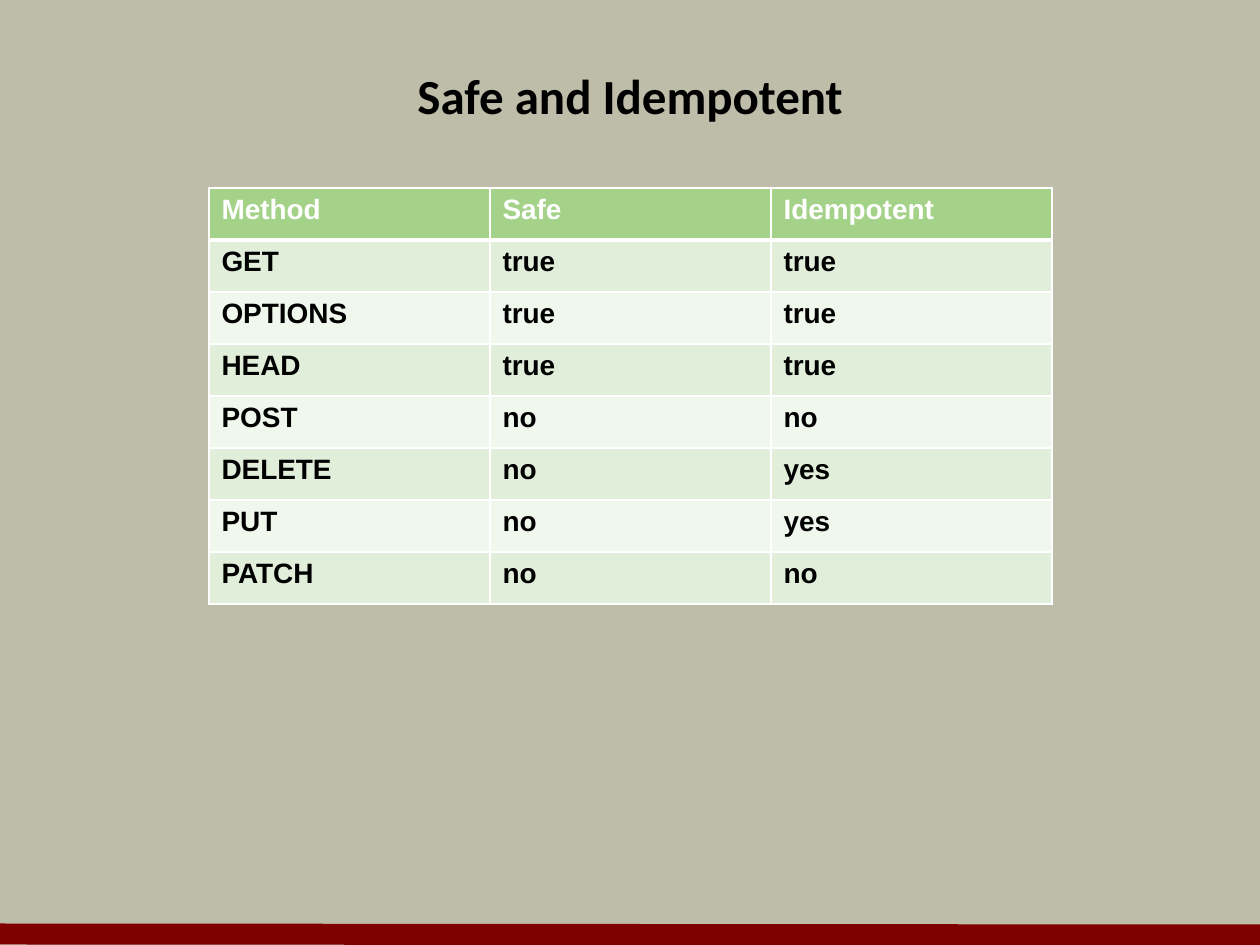
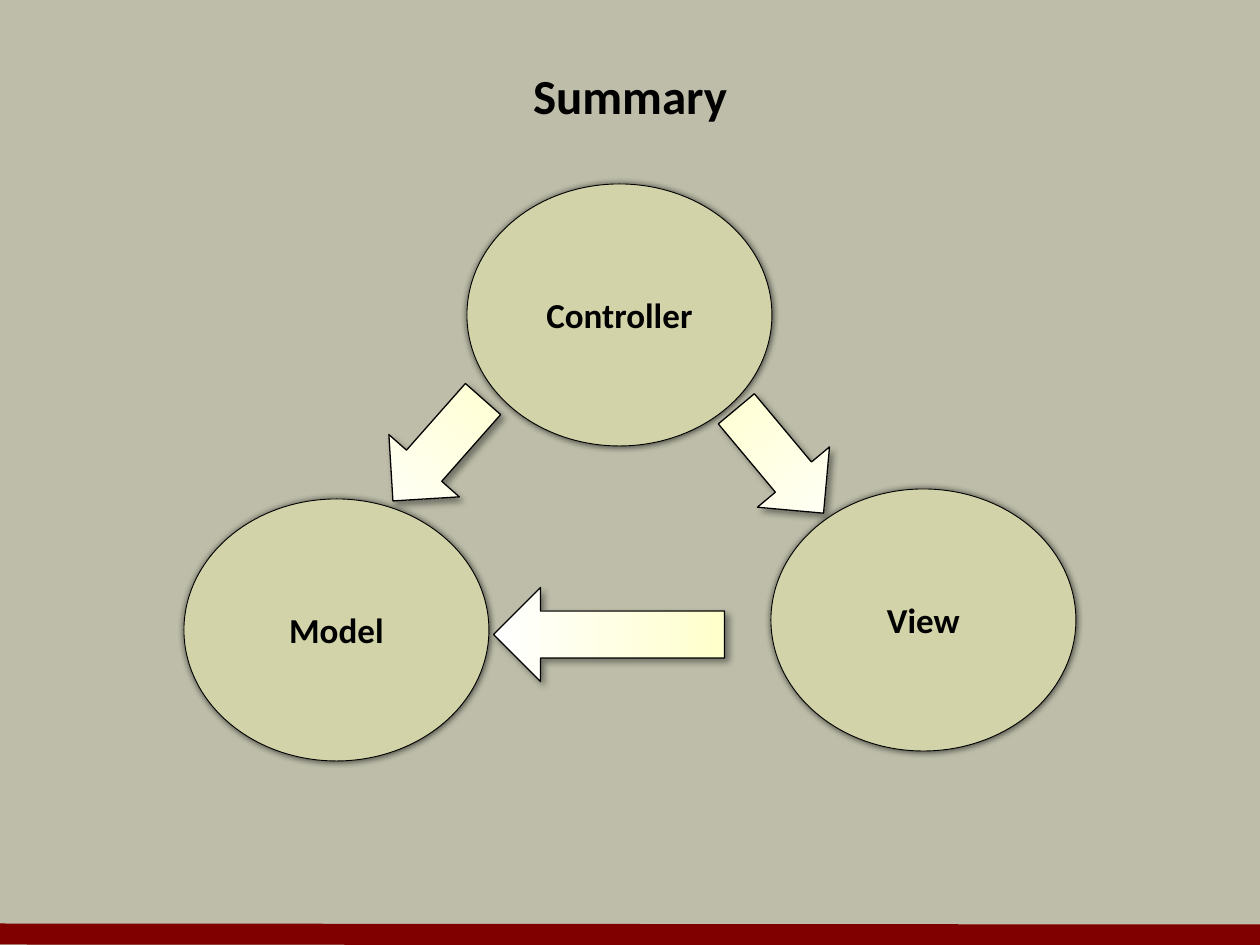
"""Build two slides on HTTP method safety and the model-view-controller cycle."""
from lxml.etree import SubElement
from pptx import Presentation
from pptx.dml.color import RGBColor
from pptx.enum.shapes import MSO_CONNECTOR, MSO_SHAPE
from pptx.enum.text import MSO_ANCHOR, PP_ALIGN
from pptx.oxml import parse_xml
from pptx.oxml.ns import nsdecls, qn
from pptx.util import Emu, Pt

PX = 914400 / 126
BACK = RGBColor(0xBD, 0xBD, 0xA9)
MAROON = RGBColor(0x80, 0x00, 0x00)
BLACK = RGBColor(0x00, 0x00, 0x00)
WHITE = RGBColor(0xFF, 0xFF, 0xFF)
HEADER = RGBColor(0xA4, 0xD2, 0x89)
BANDS = [RGBColor(0xF0, 0xF7, 0xED), RGBColor(0xE0, 0xEE, 0xDA)]
OLIVE = RGBColor(0xD3, 0xD3, 0xA9)
CREAM = RGBColor(0xFF, 0xFF, 0xCC)

TITLE_FONT = {"name": "Calibri", "size": Pt(28), "bold": True}
NODE_FONT = {"name": "Calibri", "size": Pt(20), "bold": True}
CELL_FONT = {"name": "Arial", "size": Pt(16), "bold": True}


def px(*values):
    return [Emu(round(v * PX)) for v in values]


def write(tf, text, font, color, align):
    tf.text = text
    p = tf.paragraphs[0]
    p.alignment = align
    for name, value in font.items():
        setattr(p.runs[0].font, name, value)
    p.runs[0].font.color.rgb = color


prs = Presentation()
prs.slide_width, prs.slide_height = px(1260, 945)
layout = prs.slide_layouts[5]
layout.background.fill.solid()
layout.background.fill.fore_color.rgb = BACK

slides = []
for title in ["Safe and Idempotent", "Summary"]:
    slide = prs.slides.add_slide(layout)
    sp = slide.shapes.title
    sp.left, sp.top, sp.width, sp.height = px(63, 42, 1134, 105)
    write(sp.text_frame, title, TITLE_FONT, BLACK, PP_ALIGN.CENTER)
    sp.text_frame.vertical_anchor = MSO_ANCHOR.MIDDLE
    slides.append(slide)
methods, summary = slides

band = summary.shapes.add_connector(MSO_CONNECTOR.STRAIGHT, *px(0, 934, 1260, 935))
band.line.color.rgb = MAROON
band.line.width = Pt(12)
SubElement(band.element.spPr, qn("a:effectLst"))
layout.shapes.element.append(band.element)

rows = [
    ("Method", "Safe", "Idempotent"),
    ("GET", "true", "true"),
    ("OPTIONS", "true", "true"),
    ("HEAD", "true", "true"),
    ("POST", "no", "no"),
    ("DELETE", "no", "yes"),
    ("PUT", "no", "yes"),
    ("PATCH", "no", "no"),
]
table = methods.shapes.add_table(len(rows), 3, *px(209, 188, 843, 416)).table
for r, row in enumerate(rows):
    widths = {"L": 1, "R": 1, "T": 3 if r == 1 else 1, "B": 3 if r == 0 else 1}
    for c, text in enumerate(row):
        cell = table.cell(r, c)
        write(cell.text_frame, text, CELL_FONT, BLACK if r else WHITE, PP_ALIGN.LEFT)
        cell.fill.solid()
        cell.fill.fore_color.rgb = BANDS[r % 2] if r else HEADER
        tcPr = cell._tc.get_or_add_tcPr()
        for i, (side, width) in enumerate(widths.items()):
            tcPr.insert(i, parse_xml(
                f'<a:ln{side} {nsdecls("a")} w="{Pt(width)}"><a:solidFill>'
                f'<a:srgbClr val="{WHITE}"/></a:solidFill></a:ln{side}>'))

arrows = [
    (733, 393, 136, 320.1),
    (391, 382, 136, 41.5),
    (562, 519, 231, 90),
]
nodes = [("Controller", 467, 184), ("Model", 184, 499), ("View", 771, 489)]
shapes = []
for x, y, length, angle in arrows:
    sp = summary.shapes.add_shape(MSO_SHAPE.DOWN_ARROW, *px(x, y, 94, length))
    sp.rotation = angle
    sp.fill.gradient()
    sp.fill.gradient_angle = 270
    for stop, position, color in zip(sp.fill.gradient_stops, (0, 1), (CREAM, WHITE)):
        stop.position = position
        stop.color.rgb = color
    shapes.append((sp, 0.75, 40, 3, 45))

for text, x, y in nodes:
    sp = summary.shapes.add_shape(MSO_SHAPE.OVAL, *px(x, y, 305, 262))
    sp.fill.solid()
    sp.fill.fore_color.rgb = OLIVE
    tf = sp.text_frame
    write(tf, text, NODE_FONT, BLACK, PP_ALIGN.CENTER)
    tf.word_wrap = False
    tf.vertical_anchor = MSO_ANCHOR.MIDDLE
    shapes.append((sp, 0.5, 64, 0, 0))

for sp, width, alpha, distance, angle in shapes:
    sp.line.color.rgb = BLACK
    sp.line.width = Pt(width)
    sp.element.spPr.append(parse_xml(
        f'<a:effectLst {nsdecls("a")}><a:outerShdw blurRad="{Pt(4)}" '
        f'dist="{Pt(distance)}" dir="{angle * 60000}" rotWithShape="0">'
        f'<a:srgbClr val="{BLACK}"><a:alpha val="{alpha * 1000}"/></a:srgbClr>'
        f'</a:outerShdw></a:effectLst>'))

prs.save("out.pptx")
